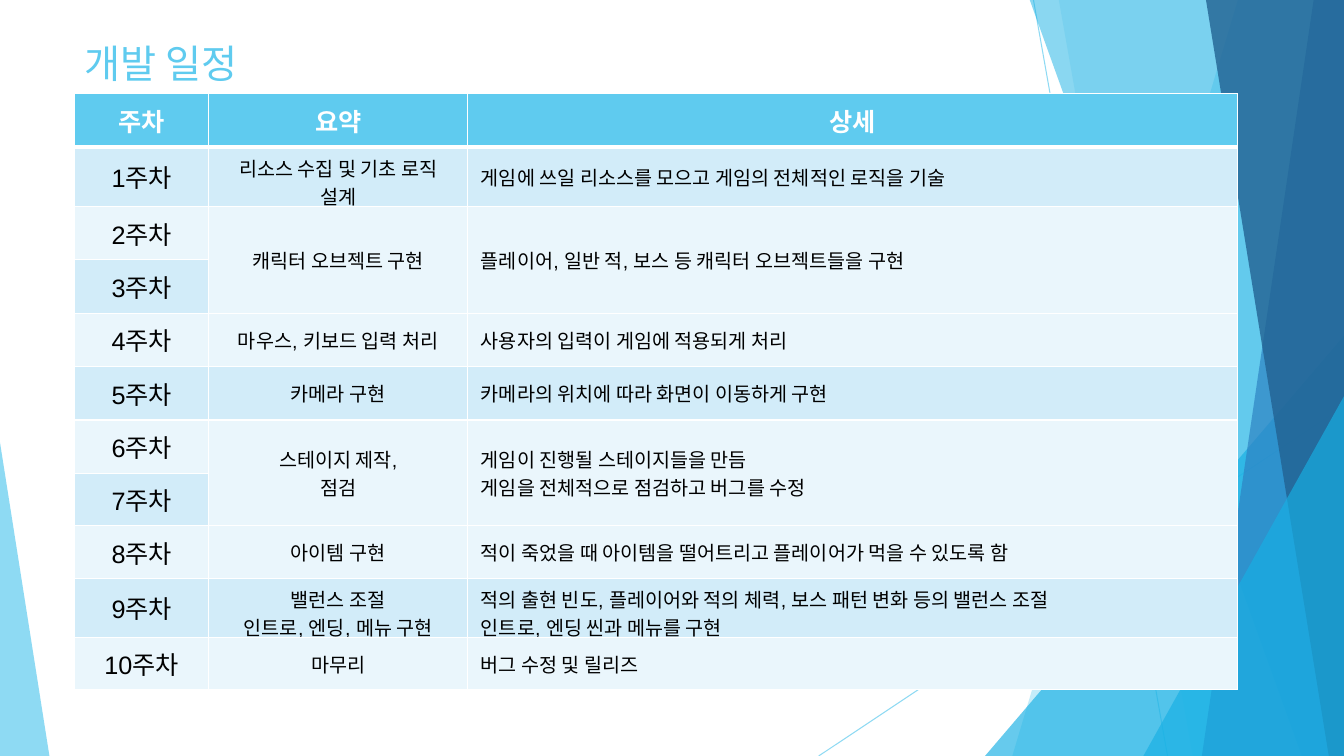
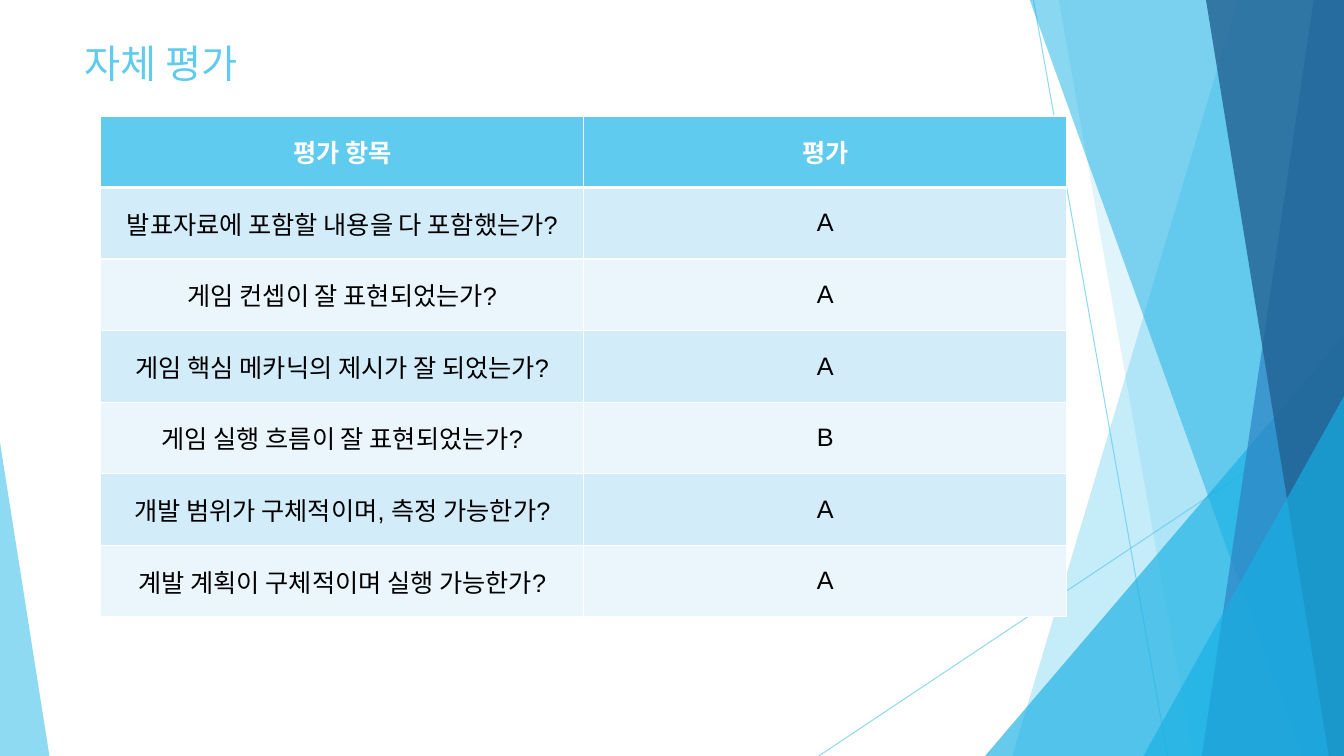
from dataclasses import dataclass

from lxml.etree import SubElement as Sub
from pptx import Presentation
from pptx.dml.color import RGBColor as RGB
from pptx.enum.shapes import MSO_CONNECTOR as Link, MSO_SHAPE as Form
from pptx.enum.text import MSO_ANCHOR as Anchor, PP_ALIGN as Align
from pptx.oxml.ns import qn
from pptx.slide import Slide
from pptx.table import _Cell as Cell
from pptx.text.text import TextFrame as Frame
from pptx.util import Inches, Pt


@dataclass(frozen=True)
class Theme:
    sky: str = "5FCBEF"
    aqua: str = "17B0E4"
    blue: str = "2E83C3"
    navy: str = "226292"
    white: str = "FFFFFF"
    black: str = "000000"
    bands: tuple[str, str] = ("EAF6FC", "D2ECF9")
    head: str = "Cabin"
    body: str = "Arial"
    title: int = 28
    large: int = 18
    small: int = 14


@dataclass(frozen=True)
class Ray:
    start: tuple[float, float]
    end: tuple[float, float]


@dataclass(frozen=True)
class Pane:
    top: float
    base: float
    color: str
    alpha: int


@dataclass(frozen=True)
class Wedge:
    left: float
    top: float
    width: float
    tip: int
    color: str
    alpha: int


@dataclass(frozen=True)
class Column:
    width: float
    size: int
    align: Align = Align.CENTER


@dataclass(frozen=True)
class Grid:
    left: float
    top: float
    cols: list[Column]
    heights: list[float]
    rows: list[tuple[str, ...]]
    pad: tuple[float, float] = (0.1, 0.05)


THEME = Theme()
WIDTH, HEIGHT, BLEED = 13.33, 7.5, -0.01

RAYS = [Ray((10.25, 0), (11.58, HEIGHT)), Ray((WIDTH, 4.03), (8.12, HEIGHT))]
FACETS = [
    Pane(12.28, 10.04, THEME.sky, 36),
    Pane(10.5, 11.83, THEME.sky, 20),
    Wedge(9.77, 3.33, 3.56, 1, THEME.aqua, 66),
    Pane(10.21, 12.91, THEME.aqua, 50),
    Pane(13.03, 11.92, THEME.blue, 70),
    Pane(11.96, 13.18, THEME.navy, 80),
    Wedge(11.34, 3.93, 1.99, 1, THEME.aqua, 66),
    Wedge(0, 4.39, 0.49, 0, THEME.sky, 70),
]

PLAN = Grid(
    0.74, 0.93,
    [Column(1.33, THEME.large), Column(2.57, THEME.small),
     Column(7.63, THEME.small, Align.LEFT)],
    [0.53] * 7 + [0.52] * 4,
    [
        ("주차", "요약", "상세"),
        ("1주차", "리소스 수집 및 기초 로직 설계",
         "게임에 쓰일 리소스를 모으고 게임의 전체적인 로직을 기술"),
        ("2주차", "캐릭터 오브젝트 구현",
         "플레이어, 일반 적, 보스 등 캐릭터 오브젝트들을 구현"),
        ("3주차",),
        ("4주차", "마우스, 키보드 입력 처리", "사용자의 입력이 게임에 적용되게 처리"),
        ("5주차", "카메라 구현", "카메라의 위치에 따라 화면이 이동하게 구현"),
        ("6주차", "스테이지 제작,\n점검",
         "게임이 진행될 스테이지들을 만듬\n게임을 전체적으로 점검하고 버그를 수정"),
        ("7주차",),
        ("8주차", "아이템 구현",
         "적이 죽었을 때 아이템을 떨어트리고 플레이어가 먹을 수 있도록 함"),
        ("9주차", "밸런스 조절\n인트로, 엔딩, 메뉴 구현",
         "적의 출현 빈도, 플레이어와 적의 체력, 보스 패턴 변화 등의 밸런스 조절\n"
         "인트로, 엔딩 씬과 메뉴를 구현"),
        ("10주차", "마무리", "버그 수정 및 릴리즈"),
    ],
    (0.13, 0.06),
)
REVIEW = Grid(
    1, 1.15,
    [Column(4.79, THEME.large)] * 2,
    [0.71] * 7,
    [
        ("평가 항목", "평가"),
        ("발표자료에 포함할 내용을 다 포함했는가?", "A"),
        ("게임 컨셉이 잘 표현되었는가?", "A"),
        ("게임 핵심 메카닉의 제시가 잘 되었는가?", "A"),
        ("게임 실행 흐름이 잘 표현되었는가?", "B"),
        ("개발 범위가 구체적이며, 측정 가능한가?", "A"),
        ("계발 계획이 구체적이며 실행 가능한가?", "A"),
    ],
)


def fade(shape, alpha: int) -> None:
    for color in shape._element.spPr.iter(qn("a:srgbClr")):
        Sub(color, qn("a:alpha"), val=str(alpha * 1000))


def add_ray(slide: Slide, ray: Ray) -> None:
    ends = [Inches(v) for v in ray.start + ray.end]
    line = slide.shapes.add_connector(Link.STRAIGHT, *ends)
    line.line.color.rgb = RGB.from_string(THEME.sky)
    line.line.width = Pt(0.75)
    fade(line, 70)
    Sub(line._element.spPr, qn("a:effectLst"))


def add_facet(slide: Slide, facet: Pane | Wedge) -> None:
    if isinstance(facet, Pane):
        points = [(Inches(x), Inches(y)) for x, y in (
            (facet.top, BLEED), (WIDTH, BLEED),
            (WIDTH, HEIGHT), (facet.base, HEIGHT))]
        path = slide.shapes.build_freeform(*points[0])
        path.add_line_segments(points[1:])
        shape = path.convert_to_shape()
    else:
        shape = slide.shapes.add_shape(
            Form.ISOSCELES_TRIANGLE, Inches(facet.left), Inches(facet.top),
            Inches(facet.width), Inches(HEIGHT - facet.top))
        shape.adjustments[0] = facet.tip
    shape.shadow.inherit = False
    shape.fill.solid()
    shape.fill.fore_color.rgb = RGB.from_string(facet.color)
    shape.line.fill.background()
    fade(shape, facet.alpha)


def write(frame: Frame, text: str, face: str, size: int, color: str,
          align: Align = Align.LEFT, bold: bool = False) -> None:
    frame.text = text
    for para in frame.paragraphs:
        para.alignment = align
        font = para.font
        font.name, font.size, font.bold = face, Pt(size), bold
        font.color.rgb = RGB.from_string(color)


def edge(cell: Cell, header: bool) -> None:
    props = cell._tc.get_or_add_tcPr()
    for side in "LRTB":
        width = 3 if header and side == "B" else 1
        line = Sub(props, qn(f"a:ln{side}"), w=str(Pt(width)))
        Sub(Sub(line, qn("a:solidFill")), qn("a:srgbClr"), val=THEME.white)


def add_grid(slide: Slide, grid: Grid) -> None:
    table = slide.shapes.add_table(
        len(grid.rows), len(grid.cols), Inches(grid.left), Inches(grid.top),
        Inches(sum(c.width for c in grid.cols)),
        Inches(sum(grid.heights))).table
    for col, spec in zip(table.columns, grid.cols):
        col.width = Inches(spec.width)
    for r, texts in enumerate(grid.rows):
        table.rows[r].height = Inches(grid.heights[r])
        header = r == 0
        for c, spec in enumerate(grid.cols):
            cell = table.cell(r, c)
            edge(cell, header)
            joined = c >= len(texts)
            band = THEME.bands[(r - joined) % 2]
            cell.fill.solid()
            cell.fill.fore_color.rgb = RGB.from_string(
                THEME.sky if header else band)
            cell.vertical_anchor = Anchor.MIDDLE
            cell.margin_left = cell.margin_right = Inches(grid.pad[0])
            cell.margin_top = cell.margin_bottom = Inches(grid.pad[1])
            if joined:
                table.cell(r - 1, c).merge(cell)
            elif header:
                write(cell.text_frame, texts[c], THEME.body, THEME.large,
                      THEME.white, Align.CENTER, True)
            else:
                write(cell.text_frame, texts[c], THEME.body, spec.size,
                      THEME.black, spec.align)


def add_page(deck, title: str, grid: Grid) -> None:
    slide = deck.slides.add_slide(deck.slide_layouts[6])
    for ray in RAYS:
        add_ray(slide, ray)
    for facet in FACETS:
        add_facet(slide, facet)
    box = slide.shapes.add_textbox(
        Inches(0.74), Inches(0.31), Inches(9.4), Inches(0.62))
    frame = box.text_frame
    frame.word_wrap = True
    frame.vertical_anchor = Anchor.MIDDLE
    write(frame, title, THEME.head, THEME.title, THEME.sky)
    add_grid(slide, grid)


def main() -> None:
    deck = Presentation()
    deck.slide_width, deck.slide_height = Inches(WIDTH), Inches(HEIGHT)
    add_page(deck, "개발 일정", PLAN)
    add_page(deck, "자체 평가", REVIEW)
    deck.save("out.pptx")


if __name__ == "__main__":
    main()
